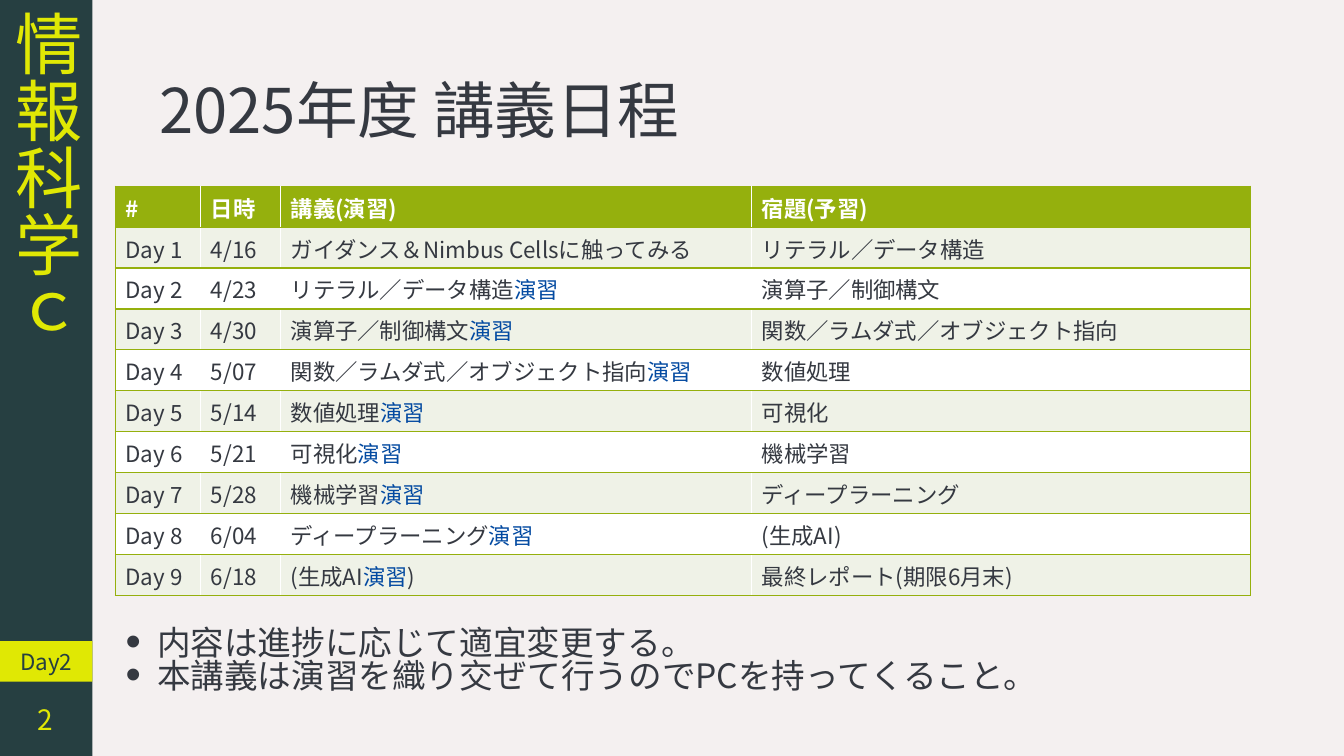
"""Build the 2025 lecture schedule slide with its sidebar, timetable and notes."""
from lxml.etree import SubElement
from pptx import Presentation
from pptx.dml.color import RGBColor
from pptx.enum.shapes import MSO_SHAPE as Shape
from pptx.enum.text import MSO_ANCHOR as Anchor, MSO_AUTO_SIZE as AutoSize, PP_ALIGN as Align
from pptx.oxml.ns import qn
from pptx.util import Pt

FONT = "Noto Sans CJK JP"
PAPER = RGBColor(0xF4, 0xF0, 0xF0)
TEAL = RGBColor(0x26, 0x3F, 0x41)
LIME = RGBColor(0xE0, 0xE8, 0x04)
INK = RGBColor(0x35, 0x39, 0x41)
GREEN = RGBColor(0x95, 0xB0, 0x0D)
PALE = RGBColor(0xEF, 0xF2, 0xE7)
WHITE = RGBColor(0xFF, 0xFF, 0xFF)
BLUE = RGBColor(0x03, 0x4A, 0xA1)


def write(para, text, size, color, bold=False):
    span = para.add_run()
    span.text = text
    span.font.color.rgb = color
    for name, value in {"name": FONT, "size": Pt(size), "bold": bold}.items():
        setattr(span.font, name, value)
    SubElement(span.font._element, qn("a:ea"), typeface=FONT)


def place(box, left, top, width, height):
    values = {"left": left, "top": top, "width": width, "height": height}
    for name, value in values.items():
        setattr(box, name, Pt(value))


deck = Presentation()
deck.slide_width, deck.slide_height = Pt(960), Pt(540)
page = deck.slides.add_slide(deck.slide_layouts[1])
page.background.fill.solid()
page.background.fill.fore_color.rgb = PAPER

title, notes = page.placeholders
place(title, 106.5, 28.8, 787, 104.4)
frame = title.text_frame
for name, value in {"vertical_anchor": Anchor.MIDDLE, "auto_size": AutoSize.NONE, "word_wrap": True}.items():
    setattr(frame, name, value)
para = frame.paragraphs[0]
para.alignment, para.line_spacing = Align.LEFT, 0.9
write(para, "2025年度 講義日程", 44, INK)

panels = [
    ("情報科学ｃ", 0, 540, TEAL, 48, LIME),
    ("Day2", 458, 29, LIME, 16, TEAL),
]
for text, top, height, fill, size, color in panels:
    panel = page.shapes.add_shape(Shape.RECTANGLE, 0, Pt(top), Pt(66), Pt(height))
    panel.shadow.inherit = False
    panel.fill.solid()
    panel.fill.fore_color.rgb = fill
    panel.line.fill.background()
    frame = panel.text_frame
    frame.vertical_anchor = Anchor.MIDDLE
    if fill == TEAL:
        frame._txBody.bodyPr.set("vert", "eaVert")
    frame.paragraphs[0].alignment = Align.CENTER
    write(frame.paragraphs[0], text, size, color)

number = page.shapes.add_textbox(0, Pt(487), Pt(66), Pt(53))
frame = number.text_frame
for name, value in {"word_wrap": True, "vertical_anchor": Anchor.MIDDLE, "margin_right": Pt(28)}.items():
    setattr(frame, name, value)
frame.paragraphs[0].alignment = Align.RIGHT
write(frame.paragraphs[0], "2", 20, LIME)

homework = [
    ("4/16", "リテラル／データ構造"),
    ("4/23", "演算子／制御構文"),
    ("4/30", "関数／ラムダ式／オブジェクト指向"),
    ("5/07", "数値処理"),
    ("5/14", "可視化"),
    ("5/21", "機械学習"),
    ("5/28", "ディープラーニング"),
    ("6/04", "(生成AI)"),
    ("6/18", "最終レポート(期限6月末)"),
]
rows = [[["#"], ["日時"], ["講義(演習)"], ["宿題(予習)"]]]
lecture = ["ガイダンス＆Nimbus Cellsに触ってみる"]
for day, (date, topic) in enumerate(homework, 1):
    rows.append([[f"Day {day}"], [date], lecture, [topic]])
    stem = topic.rstrip(")")
    lecture = [stem, "演習", topic[len(stem):]]

widths = [61, 57, 336.5, 356.5]
grid = page.shapes.add_table(len(rows), len(widths), Pt(82.5), Pt(133), Pt(sum(widths)), Pt(292.5))
table = grid.table
for column, width in zip(table.columns, widths):
    column.width = Pt(width)
for r, row in enumerate(rows):
    table.rows[r].height = Pt(29.25)
    for c, parts in enumerate(row):
        cell = table.cell(r, c)
        sides = ["lnL"] * (c == 0) + ["lnR"] * (c == len(widths) - 1) + ["lnT", "lnB"]
        for side in sides:
            border = SubElement(cell._tc.get_or_add_tcPr(), qn(f"a:{side}"), w=str(Pt(1)))
            paint = SubElement(border, qn("a:solidFill"))
            SubElement(paint, qn("a:srgbClr"), val=str(GREEN))
        cell.fill.solid()
        cell.fill.fore_color.rgb = GREEN if r == 0 else PALE if r % 2 else WHITE
        for part in filter(None, parts):
            color = WHITE if r == 0 else BLUE if part == "演習" else INK
            write(cell.text_frame.paragraphs[0], part, 16, color, r == 0)

place(notes, 82.5, 445.5, 849, 65.5)
frame = notes.text_frame
frame.word_wrap, frame.auto_size = True, AutoSize.SHAPE_TO_FIT_TEXT
reminders = ["内容は進捗に応じて適宜変更する。", "本講義は演習を織り交ぜて行うのでPCを持ってくること。"]
for i, reminder in enumerate(reminders):
    para = frame.add_paragraph() if i else frame.paragraphs[0]
    layout = para._p.get_or_add_pPr()
    layout.set("marL", str(Pt(22.5)))
    layout.set("indent", str(Pt(-22.5)))
    SubElement(layout, qn("a:buSzPct"), val="130000")
    SubElement(layout, qn("a:buFont"), typeface="Arial")
    SubElement(layout, qn("a:buChar"), char="•")
    for name, value in {"space_before": Pt(0), "line_spacing": 0.82, "alignment": Align.LEFT}.items():
        setattr(para, name, value)
    write(para, reminder, 24, INK)

deck.save("out.pptx")
